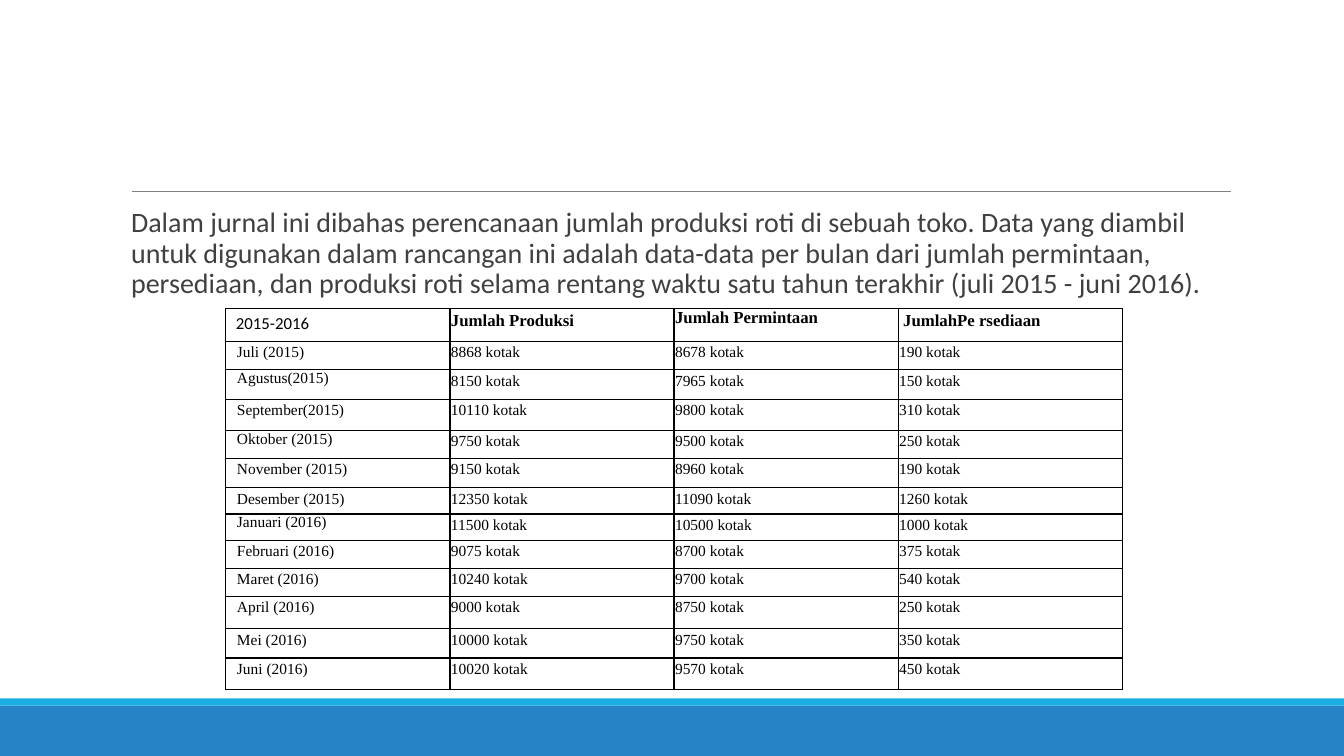
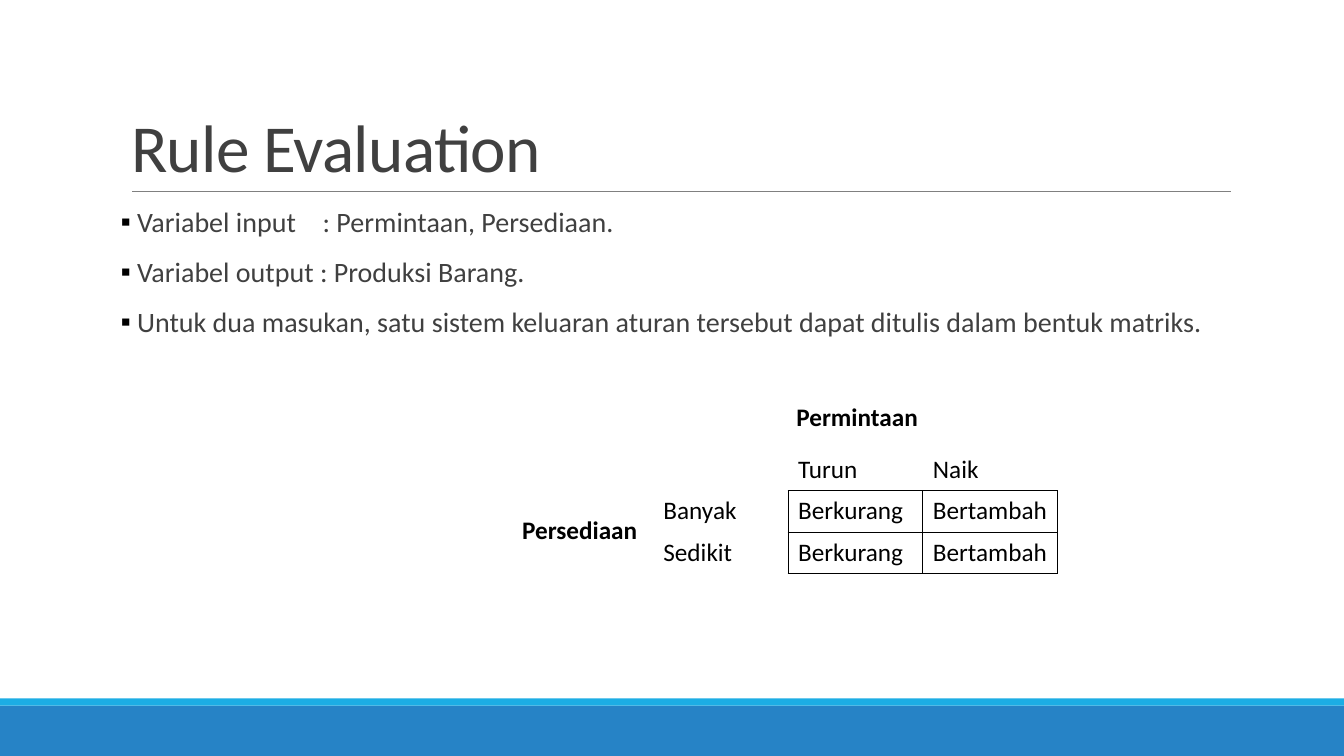
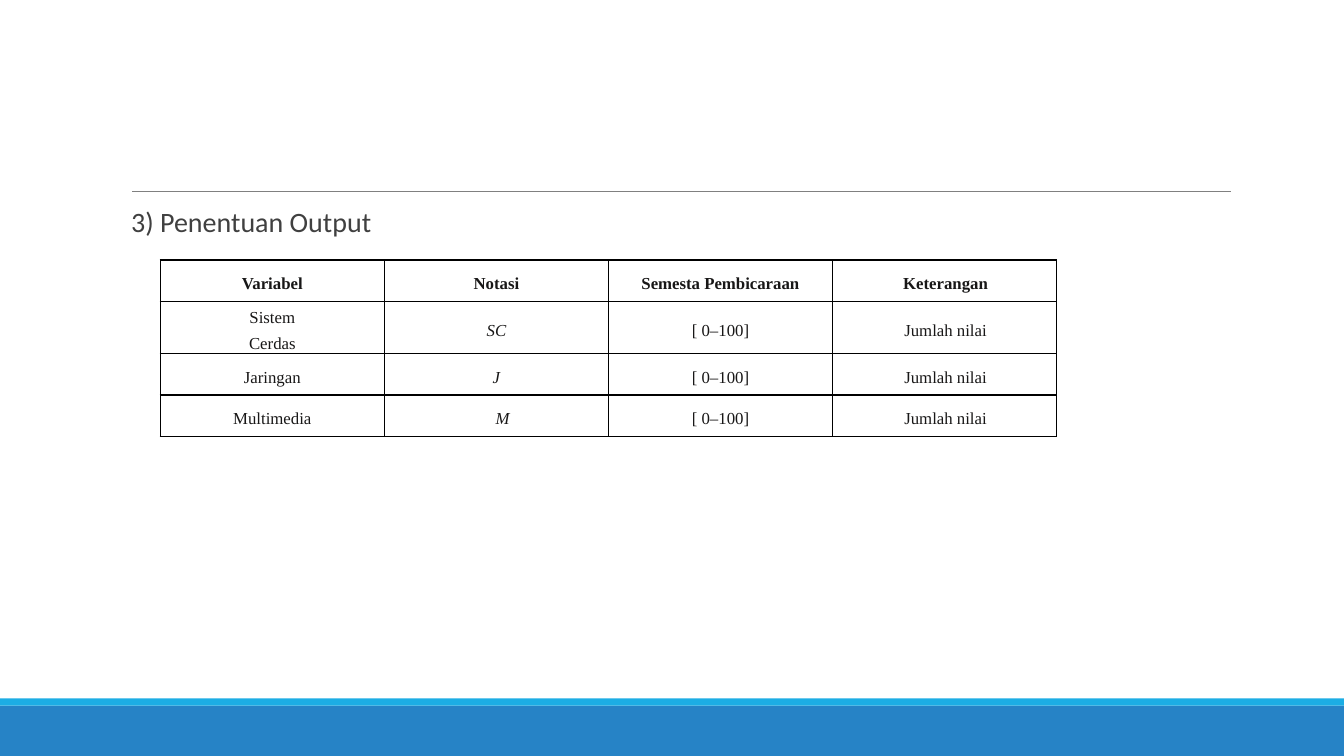
"""Builds three slides on bakery production planning with fuzzy rules."""
from lxml import etree
from pptx import Presentation
from pptx.dml.color import RGBColor
from pptx.enum.shapes import MSO_CONNECTOR, MSO_SHAPE
from pptx.enum.text import MSO_ANCHOR, MSO_AUTO_SIZE, PP_ALIGN
from pptx.oxml.ns import qn
from pptx.util import Inches, Pt

LEFT, CENTER = PP_ALIGN.LEFT, PP_ALIGN.CENTER
TOP, MIDDLE, BOTTOM = MSO_ANCHOR.TOP, MSO_ANCHOR.MIDDLE, MSO_ANCHOR.BOTTOM
RECTANGLE, STRAIGHT = MSO_SHAPE.RECTANGLE, MSO_CONNECTOR.STRAIGHT
FIXED, GROW = MSO_AUTO_SIZE.NONE, MSO_AUTO_SIZE.SHAPE_TO_FIT_TEXT

BLUE, CYAN, GRAY = "2683C6", "1CADE4", "808080"
BLACK, INK, TEXT = "000000", "181717", "404040"
SANS, SERIF = "Calibri", "Times New Roman"

BANDS = [(7, 0.5, BLUE), (6.93, 0.07, CYAN)]
TITLE_BOX, BODY_BOX = (1.2, 0.31, 11, 1.59), (1.2, 2.02, 11, 4.4)
CELL_MARGINS = (0.1, 0.05, 0.1, 0.05)

INTRO = (
    "Dalam jurnal ini dibahas perencanaan jumlah produksi roti di sebuah toko. "
    "Data yang diambil untuk digunakan dalam rancangan ini adalah data-data per bulan "
    "dari jumlah permintaan, persediaan, dan produksi roti selama rentang waktu satu "
    "tahun terakhir (juli 2015 - juni 2016)."
)
STOCK_HEADER = ["2015-2016", "Jumlah Produksi", "Jumlah Permintaan", "JumlahPe rsediaan"]
STOCK = [
    ("Juli (2015)", 8868, 8678, 190),
    ("Agustus(2015)", 8150, 7965, 150),
    ("September(2015)", 10110, 9800, 310),
    ("Oktober (2015)", 9750, 9500, 250),
    ("November (2015)", 9150, 8960, 190),
    ("Desember (2015)", 12350, 11090, 1260),
    ("Januari (2016)", 11500, 10500, 1000),
    ("Februari (2016)", 9075, 8700, 375),
    ("Maret (2016)", 10240, 9700, 540),
    ("April (2016)", 9000, 8750, 250),
    ("Mei (2016)", 10000, 9750, 350),
    ("Juni (2016)", 10020, 9570, 450),
]
STOCK_HEIGHTS = [0.33, 0.28, 0.29, 0.31, 0.28, 0.29, 0.26, 0.26, 0.28, 0.28, 0.32, 0.29, 0.31]
TIGHT_STOCK_CELLS = {(0, 2), (2, 0), (4, 0), (7, 0)}

RULE_TITLE = "Rule Evaluation"
RULE_POINTS = [
    "Variabel input\t: Permintaan, Persediaan.",
    "Variabel output : Produksi Barang.",
    "Untuk dua masukan, satu sistem keluaran aturan tersebut dapat ditulis dalam bentuk matriks.",
]
RULE_LABELS = [("Permintaan", (7.8, 3.93, 1.42, 0.4)), ("Persediaan", (5.08, 5.05, 1.35, 0.4))]
RULE_MATRIX = [
    ("", "Turun", "Naik"),
    ("Banyak", "Berkurang", "Bertambah"),
    ("Sedikit", "Berkurang", "Bertambah"),
]

OUTPUT_HEADING = "3) Penentuan Output"
OUTPUT_HEADER = ["Variabel", "Notasi", "Semesta Pembicaraan", "Keterangan"]
OUTPUT_VARIABLES = [("Sistem\nCerdas", "SC"), ("Jaringan", "J"), ("Multimedia", "M")]
OUTPUT_HEIGHTS = [0.41, 0.52, 0.41, 0.41]


def color(value):
    """Turn a hex string into a colour."""
    return RGBColor.from_string(value)


def box(values):
    """Turn a tuple of inches into lengths."""
    return [Inches(value) for value in values]


def write(frame, text, size=18, font=SANS, ink=BLACK, bold=False, italic=False,
          align=LEFT, line=1.0, before=0, after=0, margin=0, indent=0, bullet=None, tracking=0):
    """Fill a text frame with one paragraph for each line of text."""
    for index, words in enumerate(text.split("\n")):
        paragraph = frame.paragraphs[0] if index == 0 else frame.add_paragraph()
        run = paragraph.add_run()
        run.text = words
        properties = paragraph._p.get_or_add_pPr()
        properties.set("marL", str(Inches(margin)))
        properties.set("indent", str(Inches(indent)))
        if bullet:
            bullet_color = etree.SubElement(properties, qn("a:buClr"))
            etree.SubElement(bullet_color, qn("a:srgbClr"), val=BLACK)
            etree.SubElement(properties, qn("a:buFont"), typeface=SANS)
            etree.SubElement(properties, qn("a:buChar"), char=bullet)
        else:
            etree.SubElement(properties, qn("a:buNone"))
        paragraph.alignment = align
        paragraph.line_spacing = line
        paragraph.space_before = Pt(before if index else 0)
        paragraph.space_after = Pt(after)
        run.font.size, run.font.name = Pt(size), font
        run.font.bold, run.font.italic = bold, italic
        run.font.color.rgb = color(ink)
        if tracking:
            run._r.get_or_add_rPr().set("spc", str(int(tracking * 100)))


def set_margins(target, margins):
    """Set the inner margins of a text frame or cell."""
    (target.margin_left, target.margin_top,
     target.margin_right, target.margin_bottom) = box(margins)


def place(shape, values):
    """Move and size a shape."""
    shape.left, shape.top, shape.width, shape.height = box(values)


def decorate_layout(layout, slide):
    """Put the bands and the title rule on the layout and place its placeholders."""
    for top, height, fill in BANDS:
        band = slide.shapes.add_shape(RECTANGLE, *box((0, top, 13.33, height)))
        band.shadow.inherit = False
        band.fill.solid()
        band.fill.fore_color.rgb = color(fill)
        band.line.fill.background()
        layout.shapes.element.append(band.element)
    rule = slide.shapes.add_connector(STRAIGHT, *box((1.31, 1.9, 12.21, 1.9)))
    rule.line.color.rgb = color(GRAY)
    rule.line.width = Pt(0.5)
    etree.SubElement(rule.element.spPr, qn("a:effectLst"))
    layout.shapes.element.append(rule.element)
    for placeholder, values in zip(layout.placeholders, (TITLE_BOX, BODY_BOX)):
        place(placeholder, values)


def fill_slide(slide, body, title=None, **body_format):
    """Fill the title and body placeholders, dropping an unused title."""
    heading, content = slide.shapes.title, slide.placeholders[1]
    if title:
        place(heading, TITLE_BOX)
        heading.text_frame.auto_size = FIXED
        heading.text_frame.vertical_anchor = BOTTOM
        write(heading.text_frame, title, size=48, ink=TEXT, line=0.85, tracking=-0.5)
    else:
        heading.element.getparent().remove(heading.element)
    place(content, BODY_BOX)
    frame = content.text_frame
    frame.auto_size = FIXED
    frame.vertical_anchor = TOP
    set_margins(frame, (0, 0.05, 0, 0.05))
    write(frame, body, size=20, ink=TEXT, line=0.9, before=12, after=2, **body_format)


def set_borders(cell, sides):
    """Draw the four cell borders that are switched on and clear the others."""
    properties = cell._tc.get_or_add_tcPr()
    for position, (side, drawn) in enumerate(sides.items()):
        border = etree.Element(qn("a:ln" + side), w=str(Pt(1)))
        if drawn:
            fill = etree.SubElement(border, qn("a:solidFill"))
            etree.SubElement(fill, qn("a:srgbClr"), val=BLACK)
        else:
            etree.SubElement(border, qn("a:noFill"))
        properties.insert(position, border)


def add_grid(slide, rows, left, top, width, heights, cell_format, first_boxed=0):
    """Add a table whose cells are boxed from the given row and column on."""
    columns = len(rows[0])
    values = (left, top, width, sum(heights))
    table = slide.shapes.add_table(len(rows), columns, *box(values)).table
    table.first_row = table.horz_banding = False
    for column in table.columns:
        column.width = Inches(width / columns)
    for row, height in zip(table.rows, heights):
        row.height = Inches(height)

    def boxed(row, column):
        """Tell whether a position has a box around it."""
        return first_boxed <= row < len(rows) and first_boxed <= column < columns

    for r, row in enumerate(rows):
        for c, text in enumerate(row):
            cell = table.cell(r, c)
            cell.fill.background()
            set_borders(cell, {
                side: boxed(r, c) or boxed(r + down, c + across)
                for side, down, across in (("L", 0, -1), ("R", 0, 1), ("T", -1, 0), ("B", 1, 0))
            })
            options = cell_format(r, c)
            cell.vertical_anchor = options.pop("anchor", TOP)
            set_margins(cell, options.pop("margins", CELL_MARGINS))
            if text:
                write(cell.text_frame, text, **options)


def stock_format(row, column):
    """Format a cell of the monthly stock table."""
    if (row, column) == (0, 0):
        return {"size": 12}
    margin = 0.12 if column == 0 else 0.06 if (row, column) == (0, 3) else 0.02
    return {
        "size": 11 if row else 12, "font": SERIF, "bold": row == 0,
        "line": 1.0 if (row, column) in TIGHT_STOCK_CELLS else 1.15,
        "margin": margin, "indent": -0.01, "margins": (0, 0, 0.08, 0),
    }


def rule_format(row, column):
    """Format a cell of the rule matrix."""
    return {"size": 18}


def output_format(row, column):
    """Format a cell of the output variable table."""
    margin = 0.13 if (row, column) == (3, 1) else 0.03 if column == 3 else 0
    return {
        "size": 12, "font": SERIF, "ink": INK, "bold": row == 0,
        "italic": row > 0 and column == 1, "align": CENTER, "line": 1.15,
        "after": 3.3 if (row, column) == (1, 0) else 0,
        "margin": margin, "indent": -0.01, "anchor": MIDDLE,
        "margins": (0.06, 0.04, 0.06, 0),
    }


def main():
    """Build and save the presentation."""
    presentation = Presentation()
    presentation.slide_width, presentation.slide_height = box((13.33, 7.5))
    layout = presentation.slide_layouts[1]
    stock_slide, rule_slide, output_slide = [
        presentation.slides.add_slide(layout) for _ in range(3)
    ]
    decorate_layout(layout, stock_slide)

    fill_slide(stock_slide, INTRO, margin=0.1)
    stock_rows = [STOCK_HEADER] + [
        [month] + [f"{amount} kotak" for amount in amounts] for month, *amounts in STOCK
    ]
    add_grid(stock_slide, stock_rows, 2.24, 3.06, 8.89, STOCK_HEIGHTS, stock_format)

    fill_slide(rule_slide, "\n".join(RULE_POINTS), RULE_TITLE,
               margin=0.16, indent=-0.16, bullet="▪")
    for text, values in RULE_LABELS:
        label = rule_slide.shapes.add_textbox(*box(values))
        label.text_frame.word_wrap = False
        label.text_frame.auto_size = GROW
        write(label.text_frame, text, bold=True)
    add_grid(rule_slide, RULE_MATRIX, 6.48, 4.46, 4.01, [0.41] * 3, rule_format, first_boxed=1)

    fill_slide(output_slide, OUTPUT_HEADING, margin=0.1)
    output_rows = [OUTPUT_HEADER] + [
        (variable, symbol, "[ 0–100]", "Jumlah nilai") for variable, symbol in OUTPUT_VARIABLES
    ]
    add_grid(output_slide, output_rows, 1.59, 2.58, 8.89, OUTPUT_HEIGHTS, output_format)

    presentation.save("out.pptx")


if __name__ == "__main__":
    main()
